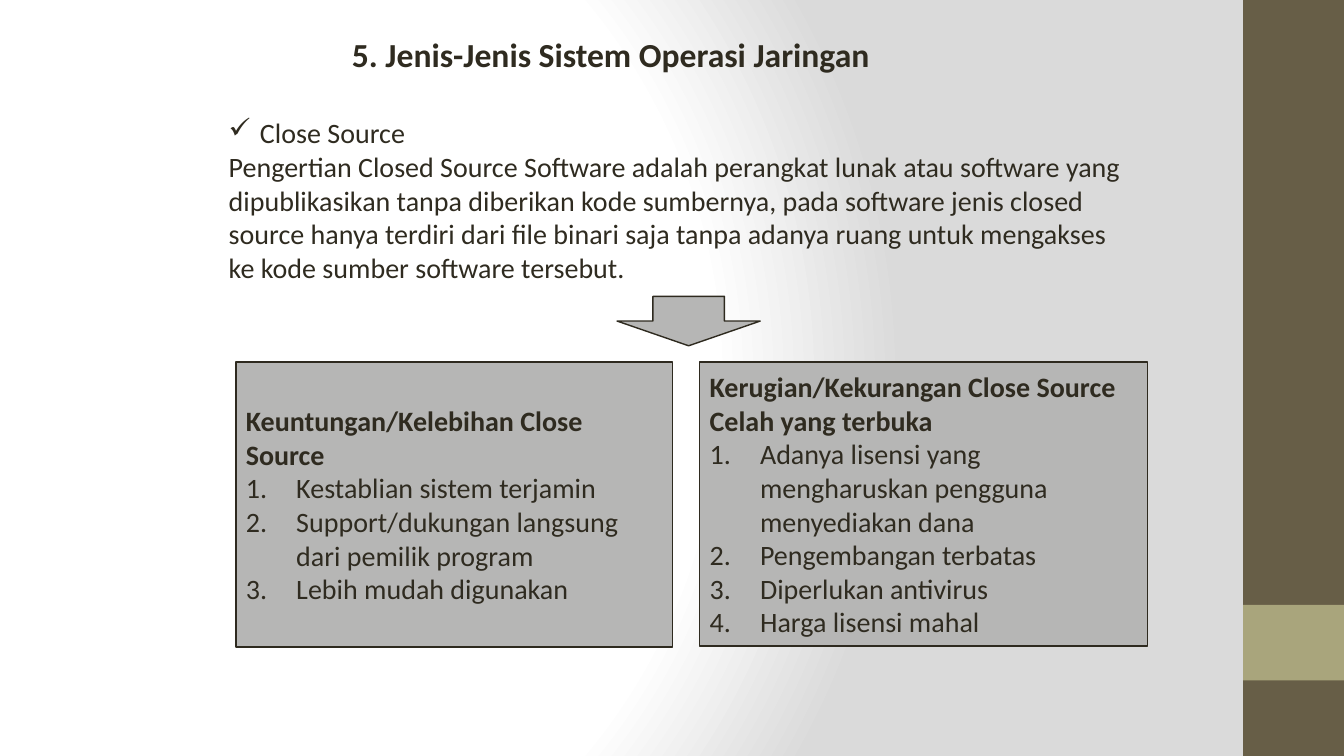
from lxml import etree
from pptx import Presentation
from pptx.dml.color import RGBColor
from pptx.enum.shapes import MSO_SHAPE
from pptx.enum.text import MSO_ANCHOR, MSO_AUTO_SIZE, PP_ALIGN
from pptx.oxml import parse_xml
from pptx.oxml.ns import nsdecls, qn
from pptx.util import Inches, Pt

RECTANGLE, DOWN_ARROW = MSO_SHAPE.RECTANGLE, MSO_SHAPE.DOWN_ARROW
TOP, MIDDLE = MSO_ANCHOR.TOP, MSO_ANCHOR.MIDDLE
LEFT = PP_ALIGN.LEFT
NO_FIT = MSO_AUTO_SIZE.NONE
TITLE_ONLY = 5

INK, GREY, OUTLINE = "2F2B20", "B6B6B5", "2E2A1F"
BROWN, OLIVE = "675E47", "A9A57C"
BACKGROUND_STOPS = [(0, "FFFFFF"), (75, "FFFFFF"), (100, "DADADA")]
BACKGROUND_CENTRE = {"l": 20, "t": 50, "r": 100, "b": 50}

TITLE = "5. Jenis-Jenis Sistem Operasi Jaringan"
DEFINITION = (
    "Pengertian Closed Source Software adalah perangkat lunak atau software yang "
    "dipublikasikan tanpa diberikan kode sumbernya, pada software jenis closed "
    "source hanya terdiri dari file binari saja tanpa adanya ruang untuk mengakses "
    "ke kode sumber software tersebut."
)
CARDS = [
    ((2.34, 3.59, 4.33, 2.83),
     ["Keuntungan/Kelebihan Close Source"],
     ["Kestablian sistem terjamin",
      "Support/dukungan langsung dari pemilik program",
      "Lebih mudah digunakan"]),
    ((6.94, 3.59, 4.44, 2.82),
     ["Kerugian/Kekurangan Close Source", "Celah yang terbuka"],
     ["Adanya lisensi yang mengharuskan pengguna menyediakan dana",
      "Pengembangan terbatas",
      "Diperlukan antivirus",
      "Harga lisensi mahal"]),
]


def colour(value):
    return RGBColor.from_string(value)


class SlideBuilder:
    def __init__(self, page):
        self.page = page
        self.font = {"name": "Calibri", "size": Pt(20), "bold": False}

    def background(self, stops, centre):
        """Fill the page with a circular gradient; positions are percentages."""
        self.page.background.fill.gradient()
        gradient = self.page.element.find(".//" + qn("a:gradFill"))
        marks = "".join(
            f'<a:gs pos="{place * 1000}"><a:srgbClr val="{value}"/></a:gs>'
            for place, value in stops
        )
        sides = " ".join(f'{side}="{share * 1000}"' for side, share in centre.items())
        gradient.getparent().replace(gradient, parse_xml(
            f'<a:gradFill {nsdecls("a")} rotWithShape="1"><a:gsLst>{marks}</a:gsLst>'
            f'<a:path path="circle"><a:fillToRect {sides}/></a:path></a:gradFill>'
        ))

    def shape(self, kind, place, fill, line=None):
        shape = self.page.shapes.add_shape(kind, *map(Inches, place))
        shape.shadow.inherit = False
        shape.fill.solid()
        shape.fill.fore_color.rgb = colour(fill)
        if line:
            shape.line.color.rgb = colour(line)
            shape.line.width = Pt(1)
        else:
            shape.line.fill.background()
        return shape

    def title(self, text, place, indent):
        title = self.page.shapes.title
        title.left, title.top, title.width, title.height = map(Inches, place)
        self.fill_text(title, [(text, {"bold": True, "size": Pt(24)}, None)], TOP)
        title.text_frame.paragraphs[0]._p.get_or_add_pPr().set("marL", str(Inches(indent)))

    def text(self, place, lines):
        self.fill_text(self.page.shapes.add_textbox(*map(Inches, place)), lines, TOP)

    def card(self, place, headings, items):
        lines = [(heading, {"bold": True}, None) for heading in headings]
        lines += [(item, {}, ("buAutoNum", {"type": "arabicPeriod"}, 0.5)) for item in items]
        self.fill_text(self.shape(RECTANGLE, place, GREY, OUTLINE), lines, MIDDLE)

    def fill_text(self, box, lines, anchor):
        """Put lines of (text, font changes, bullet) into a box."""
        frame = box.text_frame
        for name, value in {"word_wrap": True, "auto_size": NO_FIT,
                            "vertical_anchor": anchor}.items():
            setattr(frame, name, value)
        for index, (text, changes, bullet) in enumerate(lines):
            para = frame.add_paragraph() if index else frame.paragraphs[0]
            para.alignment = LEFT
            if bullet:
                self.bullet(para, *bullet)
            span = para.add_run()
            span.text = text
            for name, value in {**self.font, **changes}.items():
                setattr(span.font, name, value)
            span.font.color.rgb = colour(INK)

    def bullet(self, para, tag, values, indent):
        properties = para._p.get_or_add_pPr()
        properties.set("marL", str(Inches(indent)))
        properties.set("indent", str(-Inches(indent)))
        etree.SubElement(properties, qn("a:" + tag), values)


def main():
    deck = Presentation()
    deck.slide_width, deck.slide_height = Inches(13.33), Inches(7.5)
    slide = SlideBuilder(deck.slides.add_slide(deck.slide_layouts[TITLE_ONLY]))

    slide.background(BACKGROUND_STOPS, BACKGROUND_CENTRE)
    slide.shape(RECTANGLE, (12.33, 0, 1, 7.5), BROWN)
    slide.shape(RECTANGLE, (12.33, 6, 1, 0.75), OLIVE)
    slide.title(TITLE, (2.89, 0.29, 8.9, 0.5), 0.5)
    slide.text((2.17, 1.1, 9.21, 1.78), [
        ("Close Source", {}, ("buChar", {"char": "✓"}, 0.31)),
        (DEFINITION, {}, None),
    ])
    for place, headings, items in CARDS:
        slide.card(place, headings, items)
    slide.shape(DOWN_ARROW, (6.12, 2.94, 1.42, 0.49), GREY, OUTLINE)

    deck.save("out.pptx")


if __name__ == "__main__":
    main()
